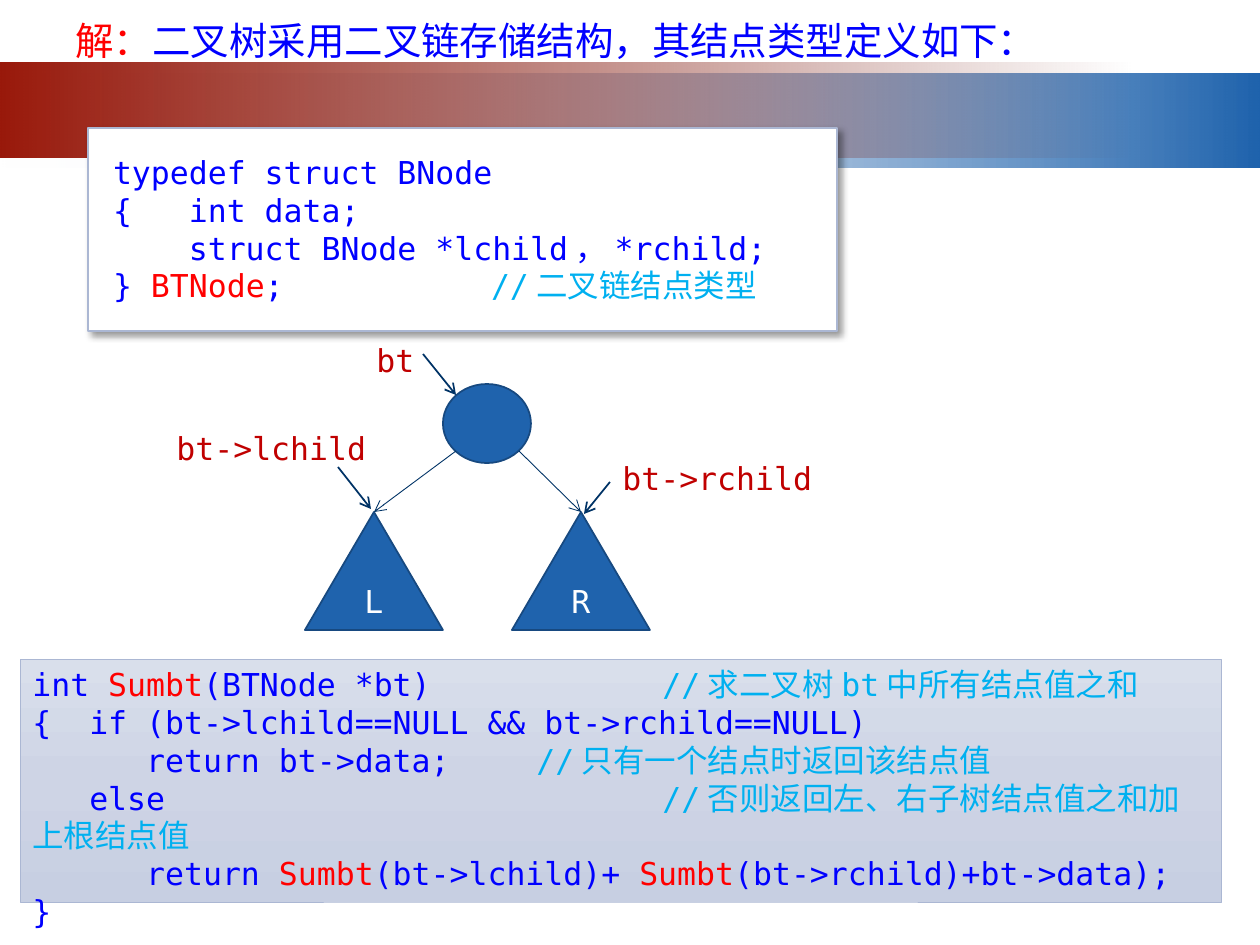
from typing import NamedTuple, Optional

import lxml.etree
import pptx
import pptx.dml.color
import pptx.enum.shapes
import pptx.enum.text
import pptx.oxml
import pptx.oxml.ns
import pptx.util

PX_PER_INCH = 126
FONT = "DejaVu Sans Mono"
BLUE, RED, CYAN = "0000FF", "FF0000", "00B0F0"
LABEL_RED, NODE_BLUE, NODE_EDGE, ARROW = "C00000", "1F63AD", "174980", "003366"
BOX_EDGE = "ABB7D3"
SHAPES = pptx.enum.shapes.MSO_SHAPE
ALIGN = pptx.enum.text.PP_ALIGN
ANCHOR = pptx.enum.text.MSO_ANCHOR


class Span(NamedTuple):
    text: str
    color: str = BLUE


class Frame(NamedTuple):
    left: int
    top: int
    width: int
    height: int


class Stop(NamedTuple):
    percent: int
    color: str
    opacity: int = 100


class Node(NamedTuple):
    kind: int
    frame: Frame
    text: str = ""


class Label(NamedTuple):
    text: str
    frame: Frame


class Arrow(NamedTuple):
    start: tuple[int, int]
    end: tuple[int, int]
    weight: float


BANDS = [
    (Frame(0, 74, 1260, 94), [Stop(0, "F1F2F7", 0), Stop(100, "1F63AD")]),
    (Frame(0, 63, 1134, 95), [Stop(0, "99190B"), Stop(100, "6D1208", 0)]),
]
TITLE = [[Span("解：", RED), Span("二叉树采用二叉链存储结构，其结点类型定义如下：")]]
STRUCT_CODE = [
    [Span("typedef struct BNode")],
    [Span("{   int data;")],
    [Span("    struct BNode *lchild，*rchild;")],
    [Span("} "), Span("BTNode", RED), Span(";\t\t"), Span("//二叉链结点类型", CYAN)],
]
SUM_CODE = [
    [Span("int "), Span("Sumbt", RED), Span("(BTNode *bt)\t\t"),
     Span("//求二叉树bt中所有结点值之和", CYAN)],
    [Span("{  if (bt->lchild==NULL && bt->rchild==NULL)")],
    [Span("      return bt->data;\t"), Span("//只有一个结点时返回该结点值", CYAN)],
    [Span("   else\t\t\t\t"), Span("//否则返回左、右子树结点值之和加上根结点值", CYAN)],
    [Span("      return "), Span("Sumbt", RED), Span("(bt->lchild)+ "),
     Span("Sumbt", RED), Span("(bt->rchild)+bt->data);")],
    [Span("}")],
]
SUM_STOPS = [Stop(0, "D9DFEB"), Stop(50, "CED4E5"), Stop(100, "C7CFE2")]
NODES = [
    Node(SHAPES.OVAL, Frame(443, 384, 88, 79)),
    Node(SHAPES.ISOSCELES_TRIANGLE, Frame(305, 512, 138, 118), "L"),
    Node(SHAPES.ISOSCELES_TRIANGLE, Frame(512, 512, 138, 118), "R"),
]
LABELS = [
    Label("bt", Frame(364, 335, 69, 50)),
    Label("bt->lchild", Frame(164, 423, 220, 50)),
    Label("bt->rchild", Frame(610, 453, 217, 50)),
]
ARROWS = [
    Arrow((456, 451), (374, 512), 0.5),
    Arrow((519, 451), (581, 512), 0.5),
    Arrow((423, 354), (456, 395), 1),
    Arrow((338, 467), (371, 509), 1),
    Arrow((610, 482), (584, 514), 1),
]


def px(length: int) -> int:
    return round(length * pptx.util.Inches(1) / PX_PER_INCH)


def rgb(color: str) -> pptx.dml.color.RGBColor:
    return pptx.dml.color.RGBColor.from_string(color)


def add_child(parent, tag: str, **attributes):
    child = lxml.etree.SubElement(parent, pptx.oxml.ns.qn(tag))
    for name, value in attributes.items():
        child.set(name, str(value))
    return child


def add_color(parent, color: str, opacity: int) -> None:
    node = add_child(parent, "a:srgbClr", val=color)
    if opacity < 100:
        add_child(node, "a:alpha", val=opacity * 1000)


def write(frame, lines: list[list[Span]], size: int) -> None:
    for number, line in enumerate(lines):
        para = frame.paragraphs[0] if number == 0 else frame.add_paragraph()
        for span in line:
            run = para.add_run()
            run.text = span.text
            run.font.size = pptx.util.Pt(size)
            run.font.name = FONT
            run.font.color.rgb = rgb(span.color)


def add_box(slide, kind: int, frame: Frame, fill: Optional[str] = None,
            edge: Optional[str] = None, weight: float = 1):
    box = slide.shapes.add_shape(kind, *map(px, frame))
    box.shadow.inherit = False
    if fill:
        box.fill.solid()
        box.fill.fore_color.rgb = rgb(fill)
    if edge:
        box.line.color.rgb = rgb(edge)
        box.line.width = pptx.util.Pt(weight)
    else:
        box.line.fill.background()
    box.text_frame.word_wrap = True
    return box


def set_gradient(box, stops: list[Stop], angle: int) -> None:
    """Fill with a linear gradient whose stops may be transparent."""
    box.fill.background()
    empty_fill = box._element.spPr.find(pptx.oxml.ns.qn("a:noFill"))
    gradient = pptx.oxml.parse_xml(f"<a:gradFill {pptx.oxml.ns.nsdecls('a')}/>")
    stop_list = add_child(gradient, "a:gsLst")
    for stop in stops:
        add_color(add_child(stop_list, "a:gs", pos=stop.percent * 1000),
                  stop.color, stop.opacity)
    add_child(gradient, "a:lin", ang=angle * 60000, scaled=0)
    box._element.spPr.replace(empty_fill, gradient)


def add_shadow(box) -> None:
    effects = box._element.spPr.find(pptx.oxml.ns.qn("a:effectLst"))
    shadow = add_child(effects, "a:outerShdw", blurRad=pptx.util.Pt(4),
                       dist=pptx.util.Pt(3), dir=45 * 60000, algn="tl", rotWithShape=0)
    add_color(shadow, "000000", 40)


def add_inch_tabs(para) -> None:
    tabs = add_child(para._p.get_or_add_pPr(), "a:tabLst")
    for inch in range(1, 7):
        add_child(tabs, "a:tab", pos=pptx.util.Inches(inch), algn="l")


def add_code(slide, frame: Frame, fill: Optional[str], weight: float,
             lines: list[list[Span]]):
    box = add_box(slide, SHAPES.RECTANGLE, frame, fill, BOX_EDGE, weight)
    box.text_frame.vertical_anchor = ANCHOR.TOP
    write(box.text_frame, lines, 18)
    for para in box.text_frame.paragraphs:
        para.alignment = ALIGN.LEFT
        add_inch_tabs(para)
    return box


def add_node(slide, node: Node) -> None:
    shape = add_box(slide, node.kind, node.frame, NODE_BLUE, NODE_EDGE)
    if node.text:
        write(shape.text_frame, [[Span(node.text, "FFFFFF")]], 18)
        shape.text_frame.paragraphs[0].alignment = ALIGN.CENTER


def add_label(slide, label: Label) -> None:
    box = slide.shapes.add_textbox(*map(px, label.frame))
    write(box.text_frame, [[Span(label.text, LABEL_RED)]], 18)


def add_arrow(slide, arrow: Arrow) -> None:
    line = slide.shapes.add_connector(pptx.enum.shapes.MSO_CONNECTOR.STRAIGHT,
                                      *map(px, arrow.start + arrow.end))
    line.line.color.rgb = rgb(ARROW)
    line.line.width = pptx.util.Pt(arrow.weight)
    properties = line._element.spPr
    add_child(properties.find(pptx.oxml.ns.qn("a:ln")), "a:tailEnd", type="arrow")
    add_child(properties, "a:effectLst")


def place_title(slide) -> None:
    """Put the title in front of the bands and format it."""
    title = slide.shapes.title
    slide.shapes._spTree.append(title._element)
    title.left, title.top, title.width, title.height = map(px, Frame(63, 11, 994, 59))
    title.text_frame.word_wrap = True
    title.text_frame.auto_size = pptx.enum.text.MSO_AUTO_SIZE.NONE
    title.text_frame.vertical_anchor = ANCHOR.TOP
    write(title.text_frame, TITLE, 22)
    title.text_frame.paragraphs[0].alignment = ALIGN.LEFT


def main() -> None:
    deck = pptx.Presentation()
    deck.slide_width, deck.slide_height = px(1260), px(945)
    slide = deck.slides.add_slide(deck.slide_layouts.get_by_name("Title Only"))
    for frame, stops in BANDS:
        set_gradient(add_box(slide, SHAPES.RECTANGLE, frame), stops, 0)
    place_title(slide)

    struct_box = add_code(slide, Frame(88, 128, 749, 203), "FFFFFF", 1, STRUCT_CODE)
    struct_frame = struct_box.text_frame
    struct_frame.margin_left = struct_frame.margin_top = struct_frame.margin_bottom = px(25)
    add_shadow(struct_box)

    for node in NODES:
        add_node(slide, node)
    for label in LABELS:
        add_label(slide, label)
    for arrow in ARROWS:
        add_arrow(slide, arrow)

    sum_box = add_code(slide, Frame(20, 659, 1201, 243), None, 0.5, SUM_CODE)
    set_gradient(sum_box, SUM_STOPS, 90)
    deck.save("out.pptx")


if __name__ == "__main__":
    main()
